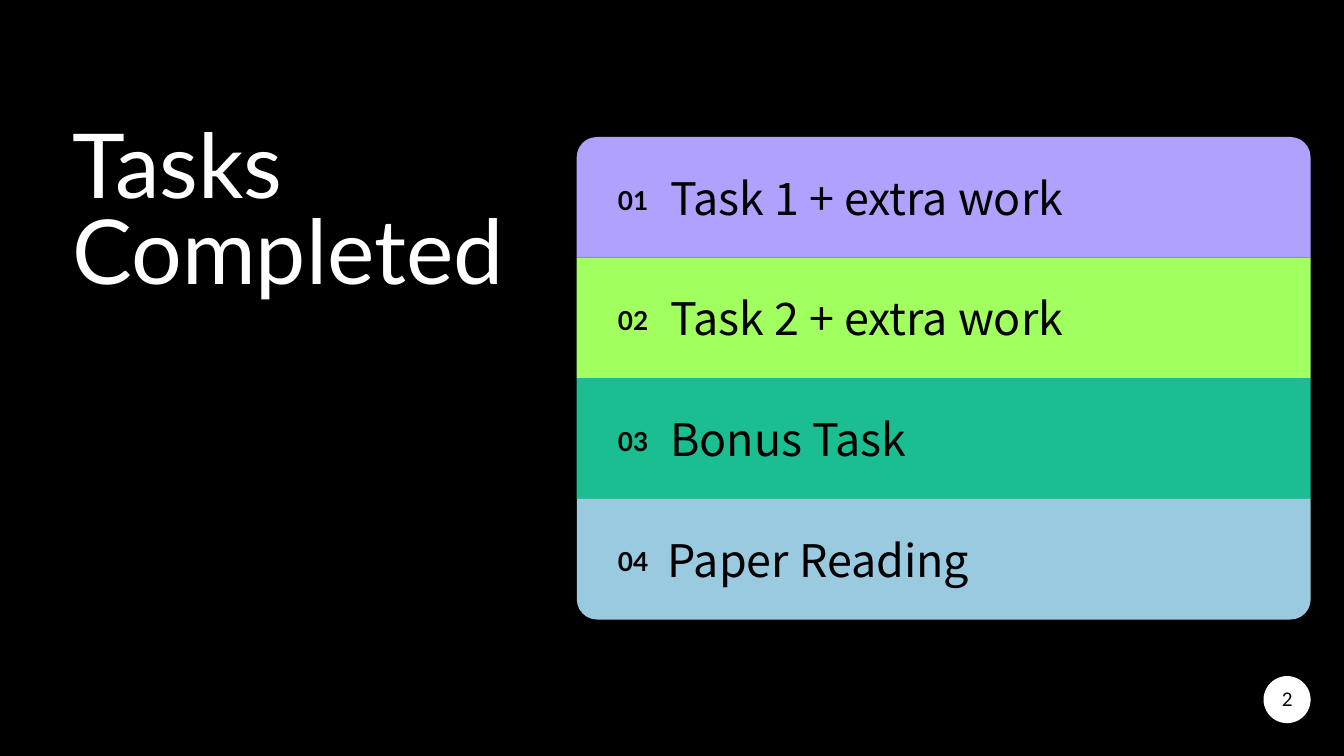
from pptx import Presentation
from pptx.dml.color import RGBColor
from pptx.enum import shapes, text
from pptx.util import Cm, Pt

BLACK = RGBColor(0x00, 0x00, 0x00)
WHITE = RGBColor(0xFF, 0xFF, 0xFF)
PURPLE = RGBColor(0xB1, 0xA1, 0xFF)
LIME = RGBColor(0xA1, 0xFF, 0x5F)
GREEN = RGBColor(0x1B, 0xBE, 0x90)
BLUE = RGBColor(0x9A, 0xCA, 0xE0)

TITLE = "Tasks Completed"
PAGE_NUMBER = "2"
TASKS = [
    ("Task 1 + extra work", PURPLE),
    ("Task 2 + extra work", LIME),
    ("Bonus Task", GREEN),
    ("Paper Reading", BLUE),
]

CARD_LEFT, CARD_TOP, CARD_WIDTH, ROW_HEIGHT = 10.9, 2.59, 13.87, 2.28
NUMBER_LEFT, NUMBER_WIDTH = 11.43, 1.52
TASK_LEFT, LAST_TASK_LEFT = 12.42, 12.37
INSET = 0.25


def add_panel(page, kind, left, top, width, height, color):
    panel = page.shapes.add_shape(kind, Cm(left), Cm(top), Cm(width), Cm(height))
    panel.shadow.inherit = False
    panel.fill.solid()
    panel.fill.fore_color.rgb = color
    panel.line.fill.background()
    return panel


def write(box, words, size, font, color=BLACK, bold=False, spacing=1.0,
          align=text.PP_ALIGN.LEFT, anchor=text.MSO_ANCHOR.MIDDLE):
    frame = box.text_frame
    frame.word_wrap = True
    frame.auto_size = text.MSO_AUTO_SIZE.NONE
    frame.vertical_anchor = anchor
    frame.margin_left = frame.margin_right = Cm(INSET)
    frame.margin_top = frame.margin_bottom = Cm(INSET)
    para = frame.paragraphs[0]
    para.alignment = align
    para.line_spacing = spacing
    span = para.add_run()
    span.text = words
    span.font.size = Pt(size)
    span.font.name = font
    span.font.bold = bold
    span.font.color.rgb = color


def add_text(page, left, top, width, height, words, size, font, **style):
    box = page.shapes.add_textbox(Cm(left), Cm(top), Cm(width), Cm(height))
    write(box, words, size, font, **style)


deck = Presentation()
deck.slide_width, deck.slide_height = Cm(25.4), Cm(14.29)
page = deck.slides.add_slide(deck.slide_layouts[5])
page.background.fill.solid()
page.background.fill.fore_color.rgb = BLACK

title = page.shapes.title
title.left, title.top, title.width, title.height = Cm(1.12), Cm(2.21), Cm(9.45), Cm(7.37)
write(title, TITLE, 48, "Lato", color=WHITE, spacing=0.8, anchor=text.MSO_ANCHOR.TOP)

last = len(TASKS) - 1
for index, (task, color) in enumerate(TASKS):
    top = CARD_TOP + index * ROW_HEIGHT
    rounded = index in (0, last)
    kind = shapes.MSO_SHAPE.ROUND_2_SAME_RECTANGLE if rounded else shapes.MSO_SHAPE.RECTANGLE
    panel = add_panel(page, kind, CARD_LEFT, top, CARD_WIDTH, ROW_HEIGHT, color)
    if index == last:
        panel.rotation = 180
    add_text(page, NUMBER_LEFT, top, NUMBER_WIDTH, ROW_HEIGHT, f"{index + 1:02}",
             14, "Lato", bold=True, spacing=1.15)
    task_left = LAST_TASK_LEFT if index == last else TASK_LEFT
    add_text(page, task_left, top, CARD_LEFT + CARD_WIDTH - task_left, ROW_HEIGHT,
             task, 24, "Noto Sans CJK KR")

add_panel(page, shapes.MSO_SHAPE.OVAL, 23.88, 12.78, 0.89, 0.89, WHITE)
add_text(page, 23.57, 12.67, 1.52, 1.09, PAGE_NUMBER, 10, "Lato", align=text.PP_ALIGN.CENTER)

deck.save("out.pptx")
